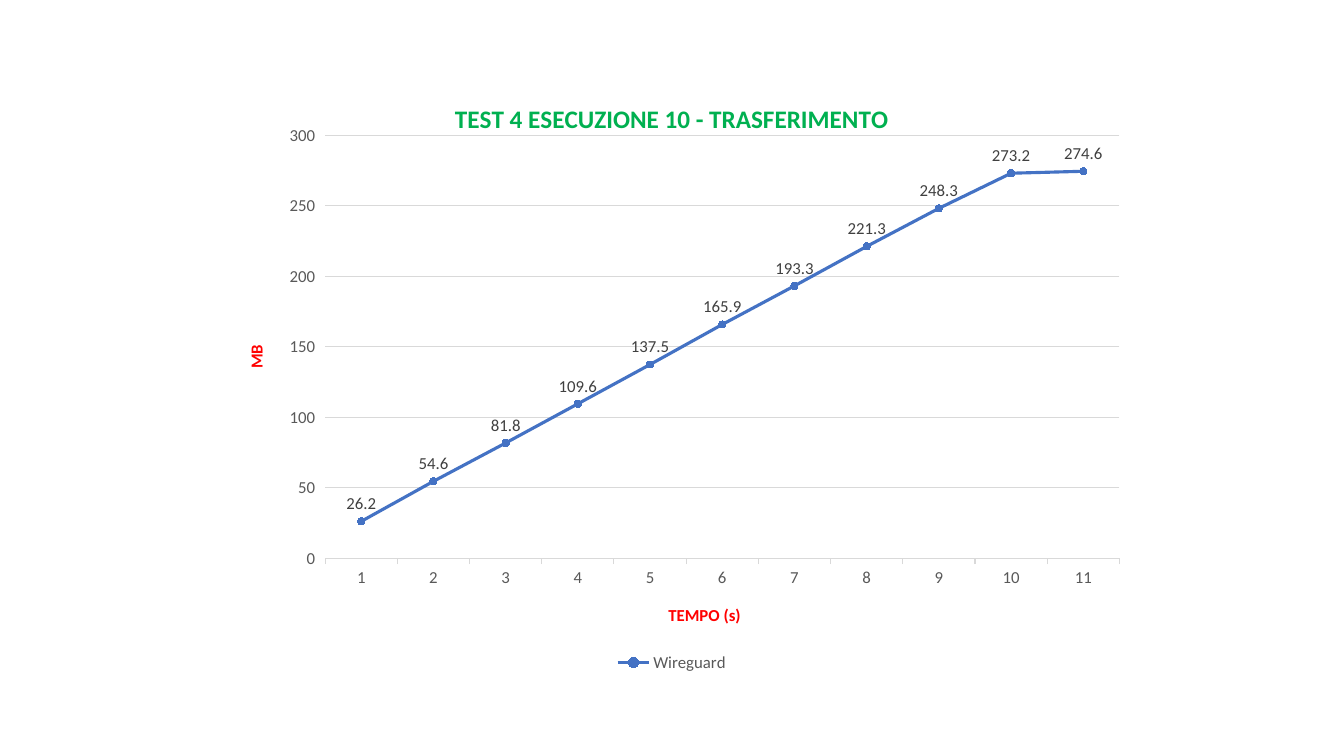
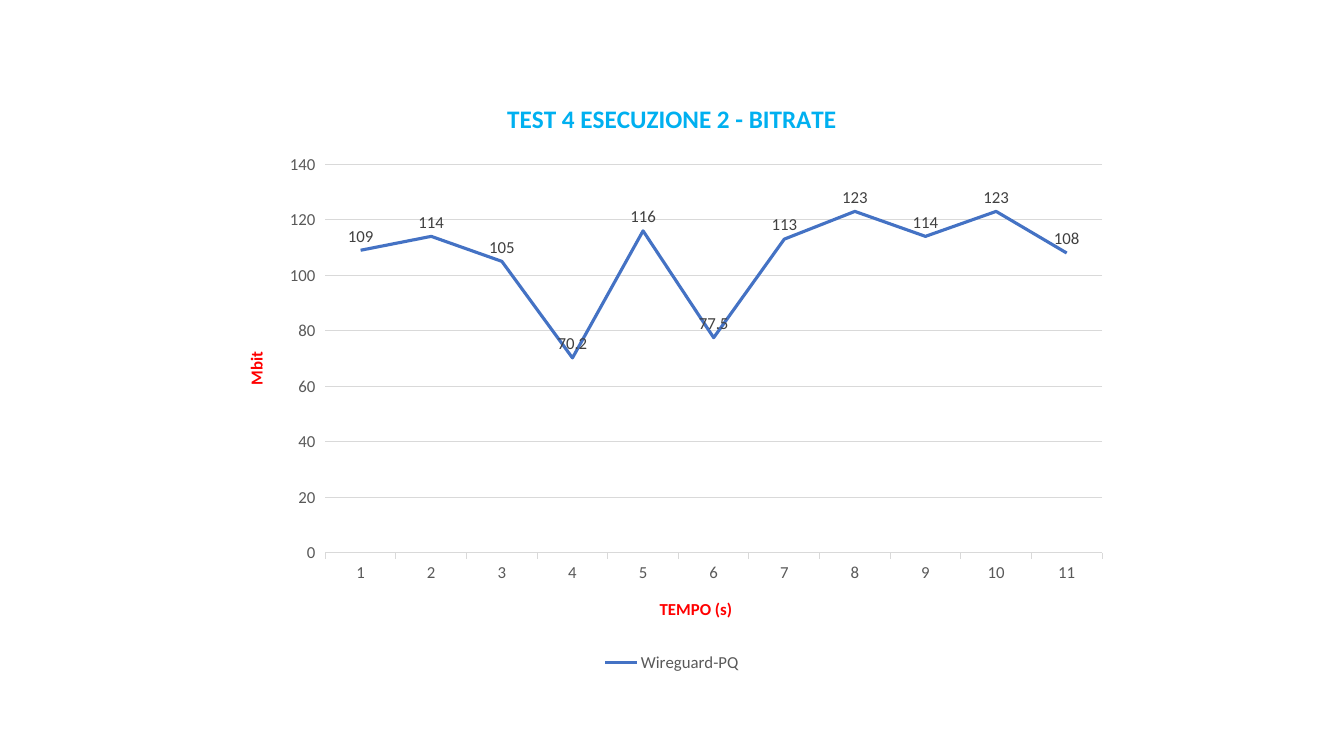
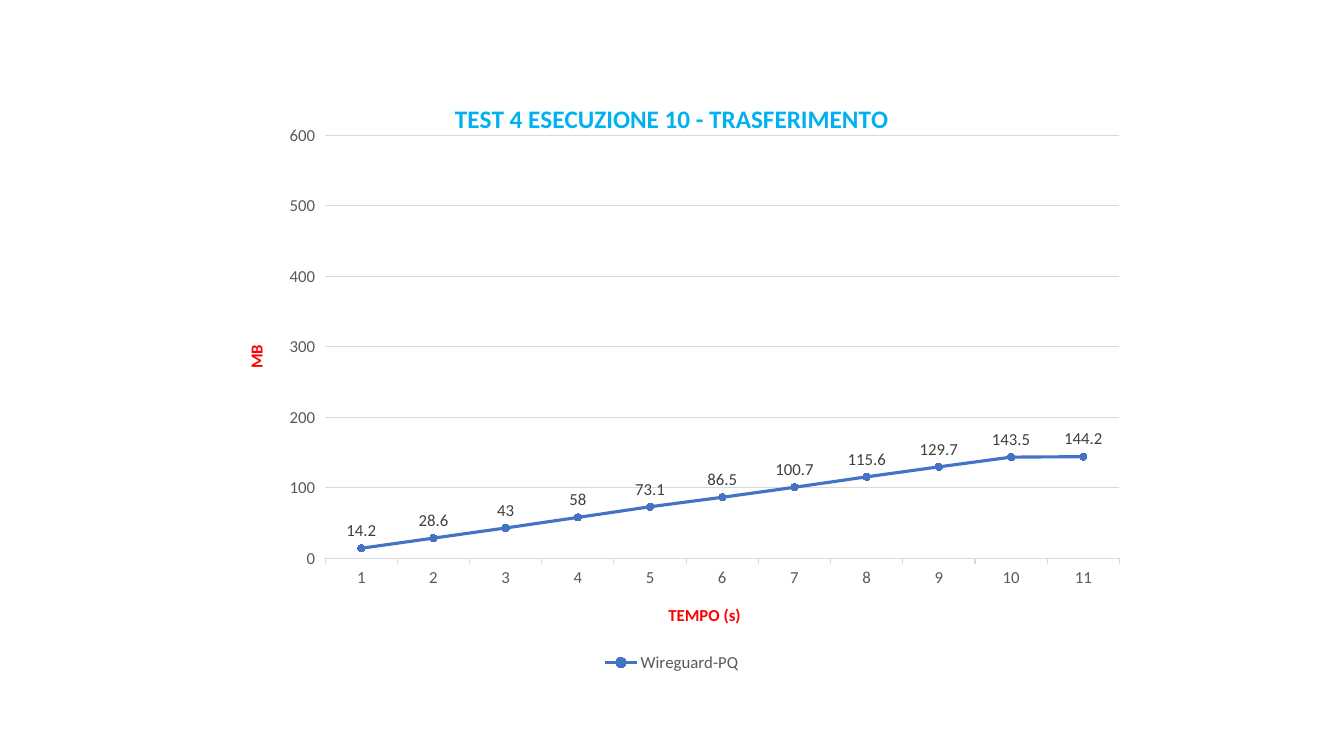
import pptx
import pptx.util
import pptx.chart.data
import pptx.dml.color
import pptx.enum.chart
import lxml.etree
from dataclasses import dataclass


@dataclass(frozen=True)
class Theme:
    font: str = "Calibri"
    wireguard: str = "00B050"
    post_quantum: str = "00B0F0"
    axis_title: str = "FF0000"
    text: str = "595959"
    value_text: str = "404040"
    rule: str = "D9D9D9"
    line: str = "4472C4"
    title_size: float = 18
    text_size: float = 12
    rule_width: float = 0.75
    line_width: float = 2.25
    marker_size: int = 5


theme = Theme()
rgb = pptx.dml.color.RGBColor.from_string
kinds = pptx.enum.chart.XL_CHART_TYPE


def style(font, color, size=theme.text_size, bold=False):
    font.name = theme.font
    font.size = pptx.util.Pt(size)
    font.bold = bold
    font.color.rgb = rgb(color)


def write_title(owner, wording, color, size=theme.text_size):
    run = owner.text_frame.paragraphs[0].add_run()
    run.text = wording
    style(run.font, color, size, bold=True)


tests = [
    dict(title="TEST 4 ESECUZIONE 10 - TRASFERIMENTO", color=theme.wireguard,
         protocol="Wireguard", unit="MB", kind=kinds.LINE_MARKERS,
         minimum=0, maximum=None, plot=(0.113, 0.094, 0.887, 0.708),
         readings=[26.2, 54.6, 81.8, 109.6, 137.5, 165.9, 193.3, 221.3, 248.3, 273.2, 274.6]),
    dict(title="TEST 4 ESECUZIONE 2 - BITRATE", color=theme.post_quantum,
         protocol="Wireguard-PQ", unit="Mbit", kind=kinds.LINE,
         minimum=None, maximum=None, plot=None,
         readings=[109, 114, 105, 70.2, 116, 77.5, 113, 123, 114, 123, 108]),
    dict(title="TEST 4 ESECUZIONE 10 - TRASFERIMENTO", color=theme.post_quantum,
         protocol="Wireguard-PQ", unit="MB", kind=kinds.LINE_MARKERS,
         minimum=0, maximum=600, plot=(0.113, 0.094, 0.887, 0.708),
         readings=[14.2, 28.6, 43, 58, 73.1, 86.5, 100.7, 115.6, 129.7, 143.5, 144.2]),
]

deck = pptx.Presentation()
deck.slide_width = pptx.util.Inches(13.333)
deck.slide_height = pptx.util.Inches(7.5)
chart_width = int(deck.slide_width * 2 / 3)
chart_height = int(deck.slide_height * 0.79)
chart_left = (deck.slide_width - chart_width) // 2
chart_top = (deck.slide_height - chart_height) // 2

for test in tests:
    slide = deck.slides.add_slide(deck.slide_layouts[6])
    measurements = pptx.chart.data.CategoryChartData()
    measurements.categories = [str(second + 1) for second in range(len(test["readings"]))]
    measurements.add_series(test["protocol"], test["readings"])
    chart = slide.shapes.add_chart(test["kind"], chart_left, chart_top,
                                   chart_width, chart_height, measurements).chart
    style(chart.font, theme.text)

    chart.has_title = True
    write_title(chart.chart_title, test["title"], test["color"], theme.title_size)
    chart.chart_title.include_in_layout = False

    chart.has_legend = True
    chart.legend.position = pptx.enum.chart.XL_LEGEND_POSITION.BOTTOM
    chart.legend.include_in_layout = False
    style(chart.legend.font, theme.text)

    seconds, amounts = chart.category_axis, chart.value_axis
    for axis, wording in ((seconds, "TEMPO (s)"), (amounts, test["unit"])):
        write_title(axis.axis_title, wording, theme.axis_title)
        style(axis.tick_labels.font, theme.text)
        axis.major_tick_mark = pptx.enum.chart.XL_TICK_MARK.OUTSIDE
        axis.minor_tick_mark = pptx.enum.chart.XL_TICK_MARK.NONE
    amounts.has_major_gridlines = True
    for rule in (seconds.format.line, amounts.major_gridlines.format.line):
        rule.color.rgb = rgb(theme.rule)
        rule.width = pptx.util.Pt(theme.rule_width)
    amounts.format.line.fill.background()
    if test["minimum"] is not None:
        amounts.minimum_scale = test["minimum"]
    if test["maximum"] is not None:
        amounts.maximum_scale = test["maximum"]

    plot = chart.plots[0]
    plot.vary_by_categories = False
    plot.has_data_labels = True
    labels = plot.data_labels
    labels.show_value = True
    labels.position = pptx.enum.chart.XL_LABEL_POSITION.ABOVE
    style(labels.font, theme.value_text)

    protocol = plot.series[0]
    protocol.smooth = False
    protocol.format.line.color.rgb = rgb(theme.line)
    protocol.format.line.width = pptx.util.Pt(theme.line_width)
    if test["kind"] == kinds.LINE_MARKERS:
        protocol.marker.style = pptx.enum.chart.XL_MARKER_STYLE.CIRCLE
        protocol.marker.size = theme.marker_size
        protocol.marker.format.fill.solid()
        protocol.marker.format.fill.fore_color.rgb = rgb(theme.line)
        protocol.marker.format.line.color.rgb = rgb(theme.line)

    if test["plot"]:
        area = chart.element.chart.plotArea
        for previous in area.findall(pptx.oxml.ns.qn("c:layout")):
            area.remove(previous)
        layout = lxml.etree.Element(pptx.oxml.ns.qn("c:layout"))
        manual = lxml.etree.SubElement(layout, pptx.oxml.ns.qn("c:manualLayout"))
        settings = [("layoutTarget", "inner"), ("xMode", "edge"), ("yMode", "edge")]
        settings += zip("xywh", map(str, test["plot"]))
        for tag, setting in settings:
            lxml.etree.SubElement(manual, pptx.oxml.ns.qn("c:" + tag)).set("val", setting)
        area.insert(0, layout)

deck.save("out.pptx")
